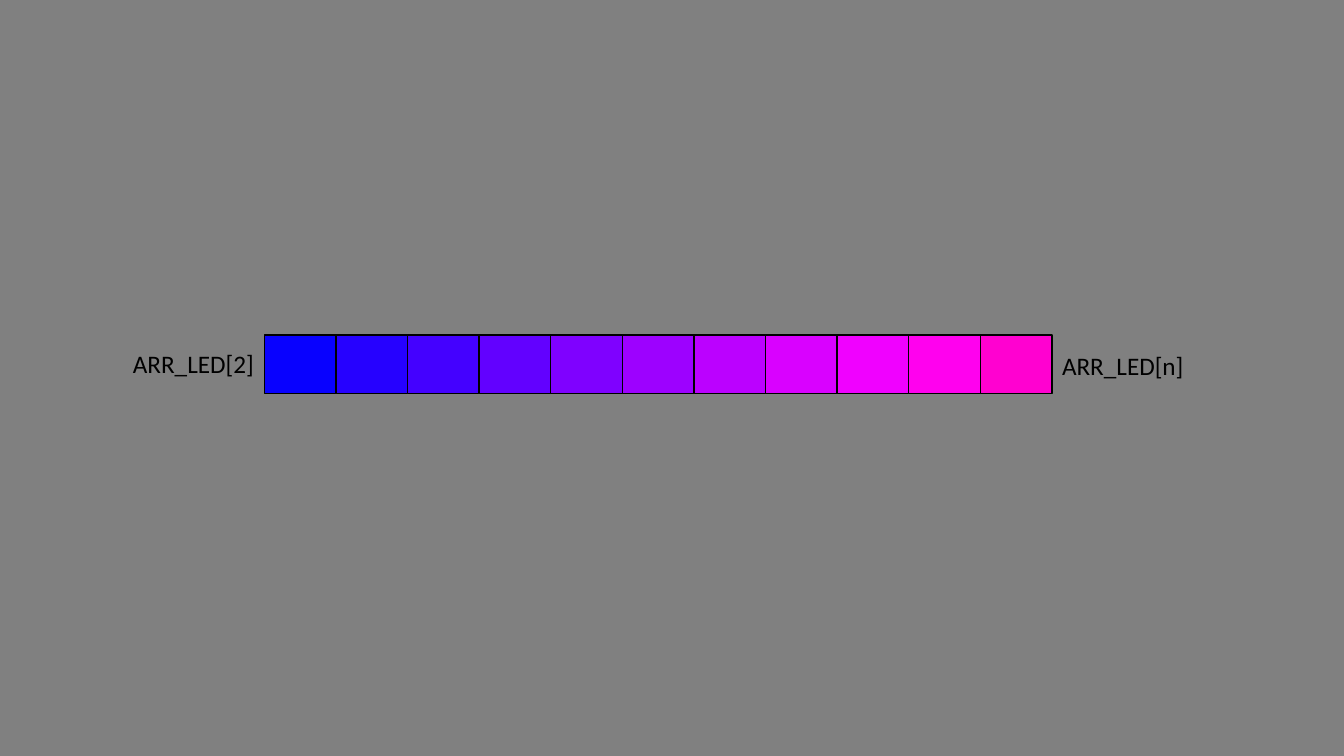
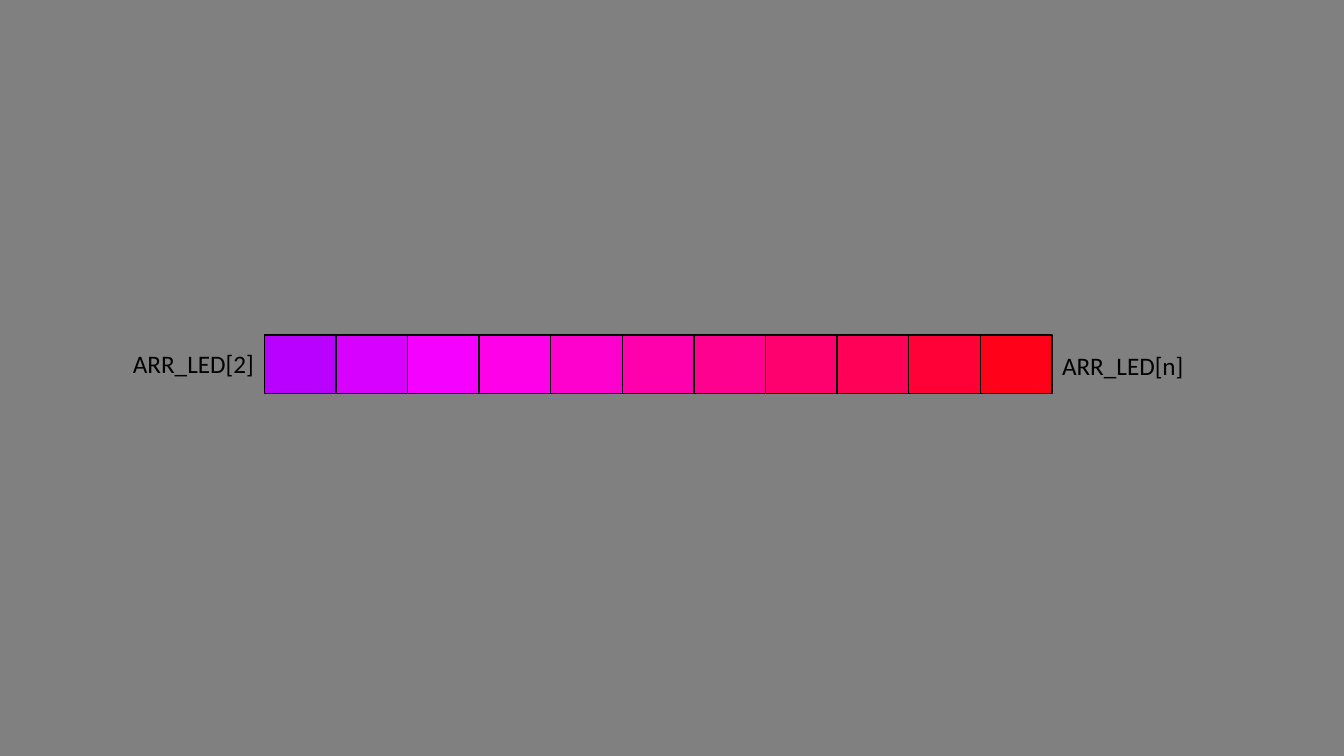
from pptx import Presentation
from pptx import util as u
from pptx.dml.color import RGBColor
from pptx.enum import shapes, text

BLACK = RGBColor(0x00, 0x00, 0x00)
GREY = RGBColor(0x80, 0x80, 0x80)
BLUE_TO_PINK = [RGBColor.from_string(code) for code in (
    "0801FF 2601FF 4401FF 6201FF 7F01FF 9D01FF "
    "BB01FF D901FF F001FF FF01EE FF01D0").split()]
PURPLE_TO_RED = [RGBColor.from_string(code) for code in (
    "B901FF D701FF F501FF FF01E9 FF01CC FF01AC "
    "FF018E FF016E FF0157 FF0137 FF0119").split()]

STRIP_LEFT, STRIP_TOP = 188.8, 239.2
LED_WIDTH, LED_HEIGHT = 51.15, 41.8


def write(frame, content, size=18, font="Calibri", color=BLACK):
    """Put formatted text into a text frame."""
    run = frame.paragraphs[0].add_run()
    run.text = content
    run.font.size = u.Pt(size)
    run.font.name = font
    run.font.color.rgb = color


class LedDeck:
    """Hold the shared style and the current slide."""

    def __init__(self):
        """Start a widescreen presentation."""
        self.deck = Presentation()
        self.deck.slide_width, self.deck.slide_height = u.Pt(960), u.Pt(540)
        self.slide = None

    def new_slide(self):
        """Add a blank slide with the grey background."""
        self.slide = self.deck.slides.add_slide(self.deck.slide_layouts[6])
        background = self.slide.background.fill
        background.solid()
        background.fore_color.rgb = GREY

    def led(self, left, color):
        """Draw one outlined LED cell."""
        cell = self.slide.shapes.add_shape(
            shapes.MSO_SHAPE.RECTANGLE, u.Pt(left), u.Pt(STRIP_TOP),
            u.Pt(LED_WIDTH), u.Pt(LED_HEIGHT))
        cell.shadow.inherit = False
        cell.fill.solid()
        cell.fill.fore_color.rgb = color
        cell.line.color.rgb = BLACK
        cell.line.width = u.Pt(1)

    def strip(self, colors):
        """Draw a row of adjoining LEDs."""
        for position, color in enumerate(colors):
            self.led(STRIP_LEFT + position * LED_WIDTH, color)

    def label(self, content, left, top):
        """Add an index label beside the strip."""
        caption = self.slide.shapes.add_textbox(
            u.Pt(left), u.Pt(top), u.Pt(102.2), u.Pt(29.1))
        frame = caption.text_frame
        frame.word_wrap = False
        frame.auto_size = text.MSO_AUTO_SIZE.SHAPE_TO_FIT_TEXT
        write(frame, content)


def main():
    """Build and save the LED slides."""
    leds = LedDeck()
    for colors in (BLUE_TO_PINK, PURPLE_TO_RED):
        leds.new_slide()
        leds.strip(colors)
        leds.label("ARR_LED[2]", 87.8, 245.2)
        leds.label("ARR_LED[n]", 751.5, 246.4)
    leds.deck.save("out.pptx")


if __name__ == "__main__":
    main()
